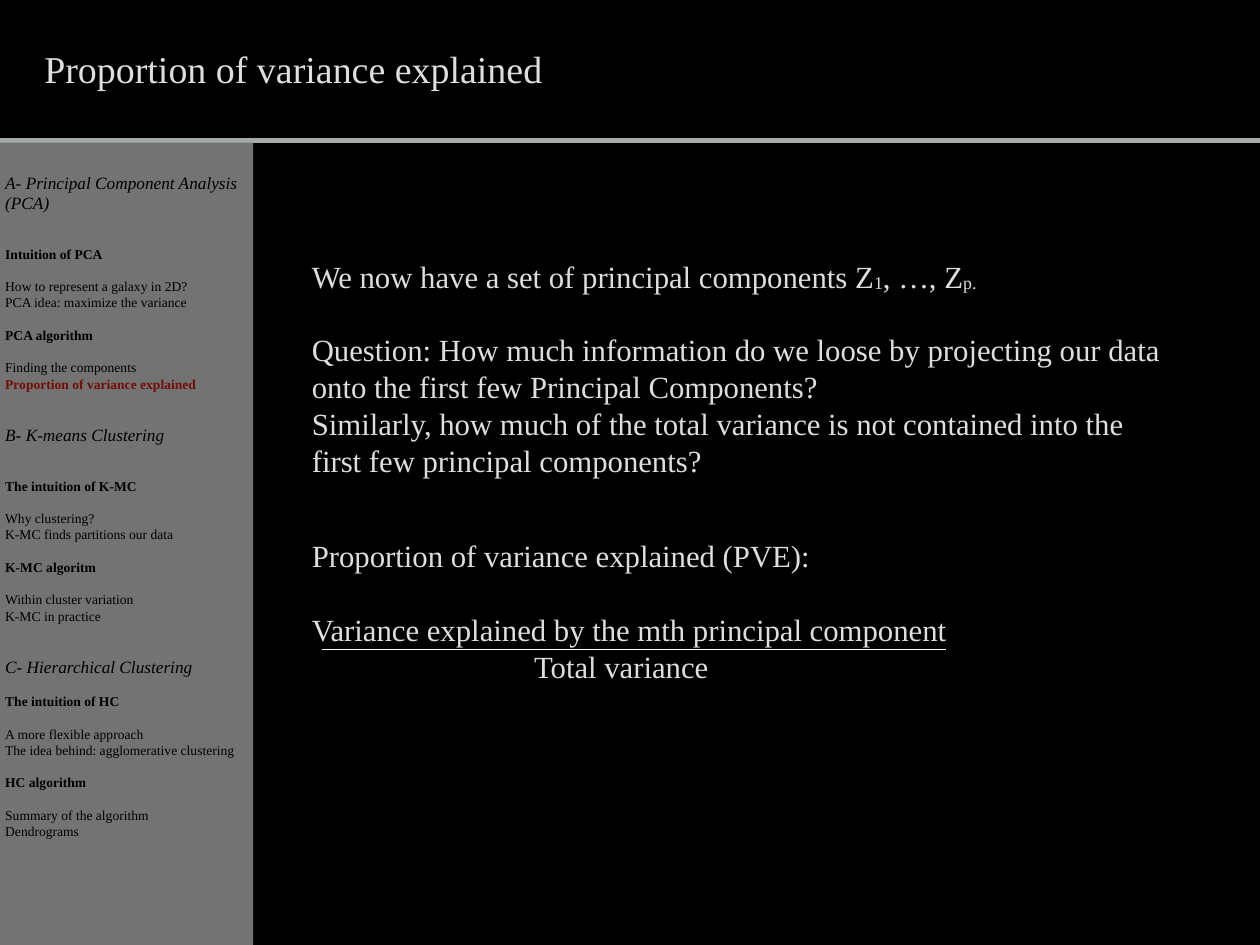
from dataclasses import dataclass
from pptx import Presentation
from pptx.dml.color import RGBColor
from pptx.enum.shapes import MSO_CONNECTOR, MSO_SHAPE
from pptx.enum.text import MSO_ANCHOR, PP_ALIGN
from pptx.oxml.ns import qn
from pptx.util import Cm, Pt
from lxml.etree import SubElement


@dataclass(frozen=True)
class Theme:
    """Colours, type sizes and font of the deck."""
    font: str = "Times New Roman"
    back: str = "000000"
    ink: str = "DCDEE0"
    rule: str = "A6AAA8"
    side: str = "737373"
    dark: str = "000000"
    mark: str = "720C04"
    bar: str = "FFFFFF"
    title: float = 30.8
    body: float = 25
    group: float = 14
    item: float = 11
    lead: float = 1.2


TITLE = "Proportion of variance explained"
GROUPS = [
    ("A- Principal Component Analysis (PCA)", 2, [
        ("Intuition of PCA", ["How to represent a galaxy in 2D?", "PCA idea: maximize the variance"]),
        ("PCA algorithm", ["Finding the components", TITLE])]),
    ("B- K-means Clustering", 2, [
        ("The intuition of K-MC", ["Why clustering?", "K-MC finds partitions our data"]),
        ("K-MC algoritm", ["Within cluster variation", "K-MC in practice"])]),
    ("C- Hierarchical Clustering", 1, [
        ("The intuition of HC", ["A more flexible approach", "The idea behind: agglomerative clustering"]),
        ("HC algorithm", ["Summary of the algorithm", "Dendrograms"])]),
]


def write(frame, text, *, look, size, color, bold=False, italic=False, gap=0, indent=0):
    """Add a paragraph; every second piece of a tuple is a subscript."""
    first = frame.paragraphs[0]
    para = frame.add_paragraph() if first.runs else first
    para.alignment = PP_ALIGN.LEFT
    para.line_spacing = Pt(size * look.lead)
    para.space_before = Pt(gap)
    if indent:
        para._p.get_or_add_pPr().set("marL", str(Cm(indent)))
    for spot, piece in enumerate((text,) if isinstance(text, str) else text):
        run = para.add_run()
        run.text = piece
        font = run.font
        font.name, font.size = look.font, Pt(size)
        font.bold, font.italic = bold, italic
        font.color.rgb = RGBColor.from_string(color)
        if spot % 2:
            run._r.get_or_add_rPr().set("baseline", "-6000")


class Page:
    """Holds the theme and the current slide."""

    def __init__(self, slide, look):
        """Set the slide and its background."""
        self.slide, self.look = slide, look
        fill = slide.background.fill
        fill.solid()
        fill.fore_color.rgb = RGBColor.from_string(look.back)

    def frame(self, shape, anchor, inset):
        """Prepare the text frame of a shape."""
        frame = shape.text_frame
        frame.word_wrap = True
        frame.vertical_anchor = anchor
        (frame.margin_left, frame.margin_top,
         frame.margin_right, frame.margin_bottom) = [Cm(side) for side in inset]
        return frame

    def panel(self, area, anchor, inset, fill=None, line=None):
        """Draw a rectangle and return its text frame."""
        shape = self.slide.shapes.add_shape(MSO_SHAPE.RECTANGLE, *[Cm(n) for n in area])
        shape.shadow.inherit = False
        if fill:
            shape.fill.solid()
            shape.fill.fore_color.rgb = RGBColor.from_string(fill)
        else:
            shape.fill.background()
        if line:
            shape.line.color.rgb = RGBColor.from_string(line)
            shape.line.width = Pt(4)
        else:
            shape.line.fill.background()
        return self.frame(shape, anchor, inset)

    def block(self, area, lines):
        """Add body text from (text, blank lines before, indent) rows."""
        look = self.look
        box = self.slide.shapes.add_textbox(*[Cm(n) for n in area])
        frame = self.frame(box, MSO_ANCHOR.MIDDLE, [0.15] * 4)
        for text, skip, indent in lines:
            write(frame, text, look=look, size=look.body, color=look.ink,
                  gap=skip * look.body * look.lead, indent=indent)

    def head(self, text):
        """Add the title bar."""
        look = self.look
        frame = self.panel((-0.15, -0.13, 36.42, 4.17), MSO_ANCHOR.BOTTOM, [1.42] * 4, line=look.rule)
        write(frame, text, look=look, size=look.title, color=look.ink)

    def menu(self, groups, now):
        """Add the outline sidebar with the current item marked."""
        look = self.look
        frame = self.panel((0, 4.09, 7.26, 23.01), MSO_ANCHOR.TOP, (0.15, 0.84, 0.15, 0.15), fill=look.side)
        blank = look.item * look.lead
        for rank, (group, skip, topics) in enumerate(groups):
            write(frame, group, look=look, size=look.group, color=look.dark,
                  italic=True, gap=2 * blank if rank else 0)
            for order, (topic, items) in enumerate(topics):
                write(frame, topic, look=look, size=look.item, color=look.dark,
                      bold=True, gap=blank if order else skip * blank)
                for place, item in enumerate(items):
                    hit = item == now
                    write(frame, item, look=look, size=look.item, bold=hit,
                          color=look.mark if hit else look.dark, gap=0 if place else blank)

    def bar(self, left, right, top):
        """Draw a level line."""
        line = self.slide.shapes.add_connector(
            MSO_CONNECTOR.STRAIGHT, Cm(left), Cm(top), Cm(right), Cm(top))
        line.line.color.rgb = RGBColor.from_string(self.look.bar)
        line.line.width = Pt(1)
        SubElement(line._element.spPr, qn("a:effectLst"))


def main():
    """Build and save the slide."""
    deck = Presentation()
    deck.slide_width, deck.slide_height = Cm(36.12), Cm(27.1)
    page = Page(deck.slides.add_slide(deck.slide_layouts[6]), Theme())
    page.head(TITLE)
    page.block((8.79, 7.47, 24.89, 6.17), [
        (("We now have a set of principal components Z", "1", ", …, Z", "p."), 0, 0),
        ("Question: How much information do we loose by projecting our data", 1, 0),
        ("onto the first few Principal Components?", 0, 0),
        ("Similarly, how much of the total variance is not contained into the", 0, 0),
        ("first few principal components?", 0, 0)])
    page.menu(GROUPS, TITLE)
    page.block((8.79, 15.42, 18.77, 4.19), [
        ("Proportion of variance explained (PVE):", 0, 0),
        ("Variance explained by the mth principal component", 1, 0),
        ("Total variance", 0, 6.37)])
    page.bar(9.22, 27.13, 18.62)
    deck.save("out.pptx")


if __name__ == "__main__":
    main()
